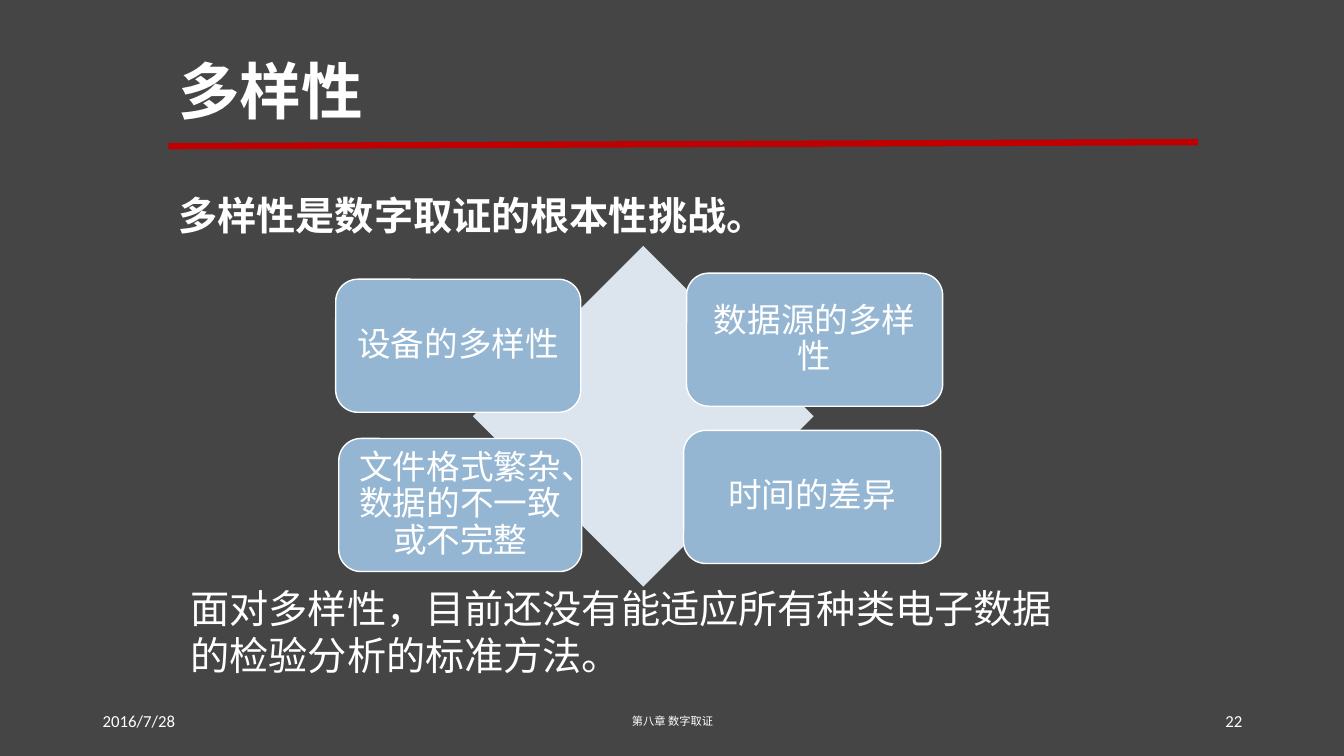
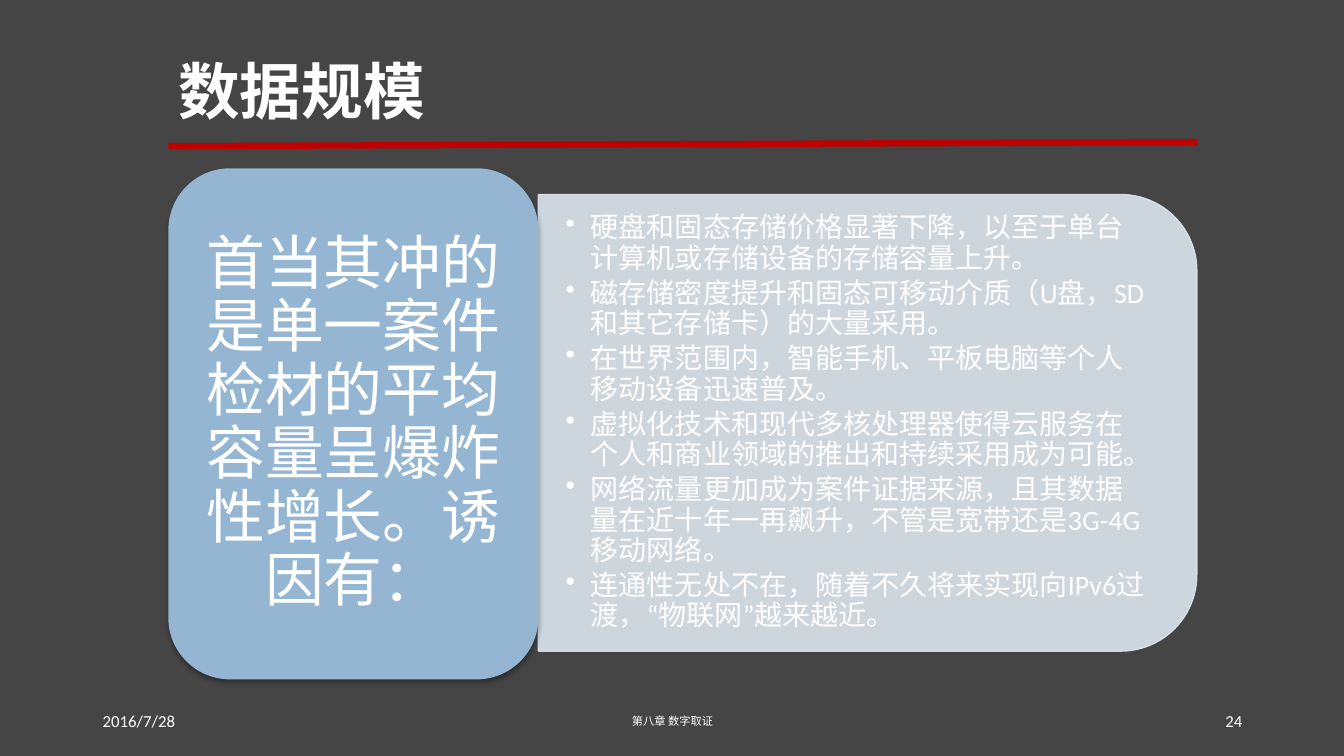
"""Build two slides on the diversity and the scale of data in digital forensics."""
import dataclasses
import typing

import lxml.etree
import pptx
import pptx.dml.color
import pptx.enum.lang
import pptx.enum.shapes
import pptx.enum.text
import pptx.oxml.ns
import pptx.util

Inches = pptx.util.Inches
Pt = pptx.util.Pt
RGBColor = pptx.dml.color.RGBColor
Align = pptx.enum.text.PP_ALIGN
Anchor = pptx.enum.text.MSO_ANCHOR
Preset = pptx.enum.shapes.MSO_SHAPE
qn = pptx.oxml.ns.qn

BACKGROUND = RGBColor(0x45, 0x45, 0x45)
RULE_RED = RGBColor(0xC0, 0x00, 0x00)
WHITE = RGBColor(0xFF, 0xFF, 0xFF)
BLUE = RGBColor(0x94, 0xB6, 0xD2)
PALE_BLUE = RGBColor(0xDC, 0xE5, 0xEE)
BLACK = RGBColor(0x00, 0x00, 0x00)
LATIN_FONT = "Calibri"
CHINESE_FONT = "Noto Sans CJK SC"


class Area(typing.NamedTuple):
    """Left, top, width and height in inches."""
    left: float
    top: float
    width: float
    height: float

    def lengths(self) -> list:
        """Return the four values as lengths."""
        return [Inches(value) for value in self]


@dataclasses.dataclass(frozen=True)
class TextStyle:
    """Look of the text in one frame."""
    size: float
    font: str = LATIN_FONT
    bold: bool = False
    align: Align = Align.LEFT
    anchor: Anchor = Anchor.MIDDLE
    margin_x: float = 0.1
    margin_y: float = 0.05
    line_spacing: float = 1.0
    space_after: float = 0
    bullet: str = ""


@dataclasses.dataclass(frozen=True)
class Card:
    """Rounded card with centred text."""
    text: str
    area: Area


TITLE = TextStyle(44, CHINESE_FONT, True, line_spacing=0.9)
STATEMENT = TextStyle(28, anchor=Anchor.TOP)
LEAD = dataclasses.replace(STATEMENT, bold=True)
DATE = TextStyle(12)
CHAPTER = TextStyle(8, CHINESE_FONT, align=Align.CENTER)
NUMBER = TextStyle(12, align=Align.RIGHT)
CARD = TextStyle(24, align=Align.CENTER, margin_y=0.1, line_spacing=0.9)
CAUSE = TextStyle(42, align=Align.CENTER, margin_x=0.17, margin_y=0.09, line_spacing=0.9)
REASONS = TextStyle(20, margin_x=0.27, margin_y=0.14, line_spacing=0.9,
                    space_after=3.6, bullet="•")

DIVERSITY_CARDS = [
    Card("设备的多样性", Area(3.33, 2.77, 2.43, 1.32)),
    Card("数据源的多样性", Area(6.81, 2.71, 2.54, 1.32)),
    Card("文件格式繁杂、数据的不一致或不完整", Area(3.36, 4.35, 2.41, 1.32)),
    Card("时间的差异", Area(6.78, 4.27, 2.55, 1.32)),
]
GROWTH_CARD = Card("首当其冲的是单一案件检材的平均容量呈爆炸性增长。诱因有：",
                   Area(1.67, 1.67, 3.67, 5.07))
GROWTH_REASONS = [
    "硬盘和固态存储价格显著下降，以至于单台计算机或存储设备的存储容量上升。",
    "磁存储密度提升和固态可移动介质（U盘，SD和其它存储卡）的大量采用。",
    "在世界范围内，智能手机、平板电脑等个人移动设备迅速普及。",
    "虚拟化技术和现代多核处理器使得云服务在个人和商业领域的推出和持续采用成为可能。",
    "网络流量更加成为案件证据来源，且其数据量在近十年一再飙升，不管是宽带还是3G-4G移动网络。",
    "连通性无处不在，随着不久将来实现向IPv6过渡，“物联网”越来越近。",
]


def write_text(frame, lines: list[str], style: TextStyle) -> None:
    """Fill a text frame with one paragraph for each line."""
    frame.word_wrap = True
    frame.vertical_anchor = style.anchor
    frame.margin_left = frame.margin_right = Inches(style.margin_x)
    frame.margin_top = frame.margin_bottom = Inches(style.margin_y)
    for index, line in enumerate(lines):
        para = frame.add_paragraph() if index else frame.paragraphs[0]
        if style.bullet:
            properties = para._p.get_or_add_pPr()
            properties.set("marL", str(Inches(0.25)))
            properties.set("indent", str(-Inches(0.25)))
            lxml.etree.SubElement(properties, qn("a:buChar"), char=style.bullet)
        para.alignment = style.align
        para.line_spacing = style.line_spacing
        para.space_after = Pt(style.space_after)
        span = para.add_run()
        span.text = line
        span.font.size = Pt(style.size)
        span.font.bold = style.bold
        span.font.color.rgb = WHITE
        span.font.name = style.font
        span.font.language_id = pptx.enum.lang.MSO_LANGUAGE_ID.SIMPLIFIED_CHINESE
        lxml.etree.SubElement(span._r.get_or_add_rPr(), qn("a:ea"), typeface=style.font)


def add_text(page, area: Area, lines: list[str], style: TextStyle) -> None:
    """Add a text box."""
    box = page.shapes.add_textbox(*area.lengths())
    write_text(box.text_frame, lines, style)


def add_panel(page, preset: Preset, area: Area, fill: RGBColor,
              line: RGBColor | None = None):
    """Add a filled preset shape without a shadow."""
    panel = page.shapes.add_shape(preset, *area.lengths())
    panel.shadow.inherit = False
    panel.fill.solid()
    panel.fill.fore_color.rgb = fill
    if line is None:
        panel.line.fill.background()
    else:
        panel.line.color.rgb = line
        panel.line.width = Pt(1)
    return panel


def add_card(page, card: Card, style: TextStyle, line: RGBColor | None = None):
    """Add a rounded blue card with its text."""
    panel = add_panel(page, Preset.ROUNDED_RECTANGLE, card.area, BLUE, line)
    write_text(panel.text_frame, [card.text], style)
    return panel


def set_opacity(panel, percent: int) -> None:
    """Make the fill and line of a shape translucent."""
    for color in panel.element.spPr.iter(qn("a:srgbClr")):
        lxml.etree.SubElement(color, qn("a:alpha"), val=str(percent * 1000))


def drop_shadow(panel) -> None:
    """Give a shape a soft shadow below it."""
    effects = panel.element.spPr.find(qn("a:effectLst"))
    shadow = lxml.etree.SubElement(effects, qn("a:outerShdw"), blurRad=str(Pt(3.5)),
                                   dist=str(Pt(2.2)), dir="5400000", rotWithShape="0")
    color = lxml.etree.SubElement(shadow, qn("a:srgbClr"), val=str(BLACK))
    lxml.etree.SubElement(color, qn("a:alpha"), val="32000")


def add_page(deck, title: str, number: int):
    """Add a slide with its title, red rule and footer."""
    page = deck.slides.add_slide(deck.slide_layouts[6])
    rule = page.shapes.add_connector(
        pptx.enum.shapes.MSO_CONNECTOR.STRAIGHT,
        Inches(1.67), Inches(1.45), Inches(11.88), Inches(1.41))
    rule.line.color.rgb = RULE_RED
    rule.line.width = Pt(4.5)
    lxml.etree.SubElement(rule.element.spPr, qn("a:effectLst"))
    add_text(page, Area(1.67, 0.21, 10.21, 1.45), [title], TITLE)
    add_text(page, Area(0.92, 6.95, 3, 0.4), ["2016/7/28"], DATE)
    add_text(page, Area(4.42, 6.95, 4.5, 0.4), ["第八章 数字取证"], CHAPTER)
    add_text(page, Area(9.42, 6.95, 3, 0.4), [str(number)], NUMBER)
    return page


def add_diversity_page(deck) -> None:
    """Add the slide on four kinds of diversity."""
    page = add_page(deck, "多样性", 22)
    add_panel(page, Preset.DIAMOND, Area(4.69, 2.44, 3.38, 3.38), PALE_BLUE)
    for card in DIVERSITY_CARDS:
        add_card(page, card, CARD, WHITE)
    add_text(page, Area(1.67, 1.85, 7.63, 0.57), ["多样性是数字取证的根本性挑战。"], LEAD)
    add_text(page, Area(1.79, 5.75, 8.79, 1.04),
             ["面对多样性，目前还没有能适应所有种类电子数据的检验分析的标准方法。"], STATEMENT)


def add_scale_page(deck) -> None:
    """Add the slide on the growth of data."""
    page = add_page(deck, "数据规模", 24)
    panel = add_panel(page, Preset.ROUND_2_SAME_RECTANGLE,
                      Area(6.34, 0.93, 4.53, 6.53), PALE_BLUE, PALE_BLUE)
    panel.rotation = 90
    set_opacity(panel, 90)
    add_text(page, Area(5.34, 2.15, 6.31, 4.09), GROWTH_REASONS, REASONS)
    drop_shadow(add_card(page, GROWTH_CARD, CAUSE))


def main() -> None:
    """Build and save the deck."""
    deck = pptx.Presentation()
    deck.slide_width, deck.slide_height = Inches(13.33), Inches(7.5)
    background = deck.slide_master.background.fill
    background.solid()
    background.fore_color.rgb = BACKGROUND
    add_diversity_page(deck)
    add_scale_page(deck)
    deck.save("out.pptx")


if __name__ == "__main__":
    main()
